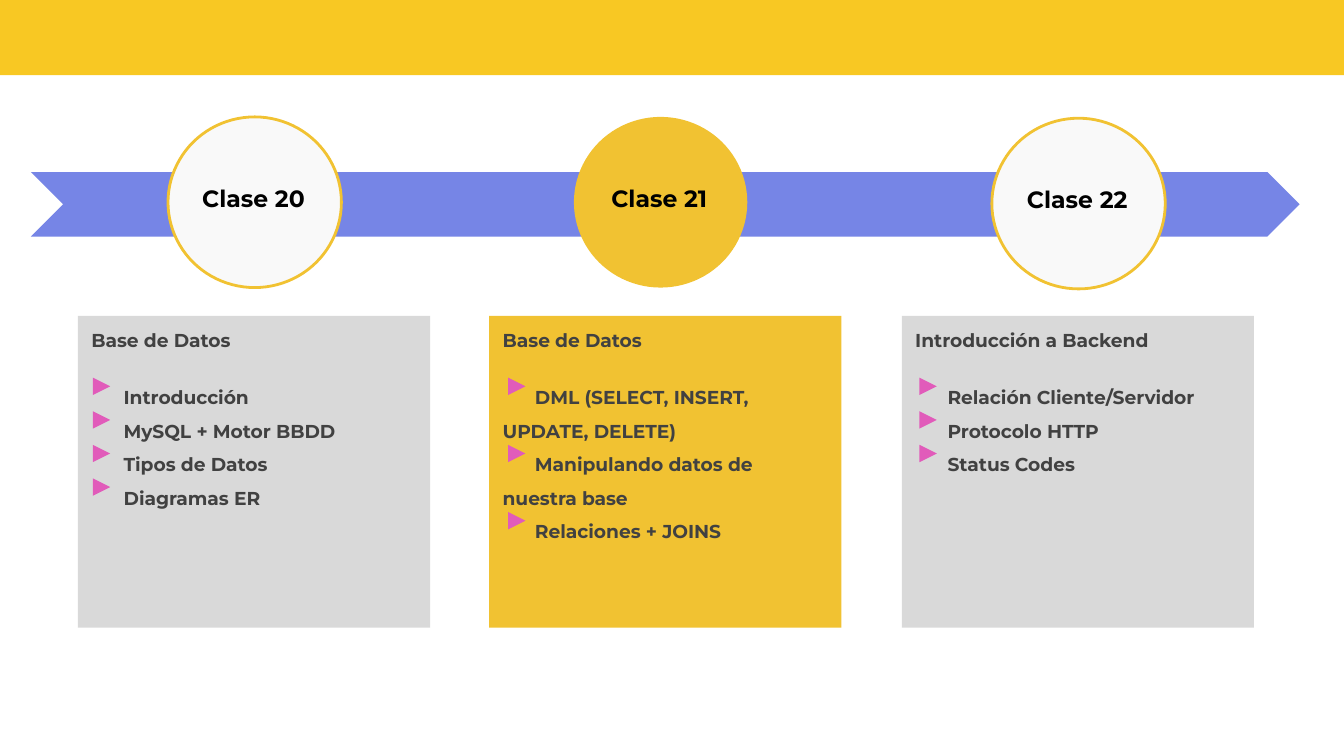
from dataclasses import dataclass

from pptx import Presentation
from pptx.dml.color import RGBColor
from pptx.enum import shapes, text
from pptx.oxml.xmlchemy import OxmlElement
from pptx.util import Inches, Pt


@dataclass(frozen=True)
class Theme:
    font: str = "Montserrat"
    label_size: float = 12.6
    body_size: float = 10
    gap_size: float = 12.2
    ring_width: float = 1.5
    banner: str = "F8C823"
    timeline: str = "7685E6"
    active: str = "F1C232"
    circle: str = "F9F9F9"
    card: str = "D9D9D9"
    marker: str = "E15BBA"
    label: str = "000000"
    body: str = "414141"


THEME = Theme()
SHAPE = shapes.MSO_SHAPE
CARD_TOP, CARD_WIDTH, CARD_HEIGHT = 2.35, 2.62, 2.32
CIRCLE_WIDTH, CIRCLE_HEIGHT = 1.29, 1.27
LINE_STEP = 0.25
MARKER_SIZE = 0.13
ITEM_INDENT = 0.24

CLASSES = [
    dict(label="Clase 20", circle=(1.25, 0.87), card_left=0.58, marker_inset=0.11,
         heading="Base de Datos", line_step=LINE_STEP,
         items=["Introducción", "MySQL + Motor BBDD", "Tipos de Datos", "Diagramas ER"]),
    dict(label="Clase 21", circle=(4.27, 0.87), card_left=3.64, marker_inset=0.14,
         heading="Base de Datos", line_step=2 * LINE_STEP, active=True,
         items=["DML (SELECT, INSERT, UPDATE, DELETE)",
                "Manipulando datos de nuestra base",
                "Relaciones + JOINS"]),
    dict(label="Clase 22", circle=(7.38, 0.88), card_left=6.71, marker_inset=0.13,
         heading="Introducción a Backend", line_step=LINE_STEP,
         items=["Relación Cliente/Servidor", "Protocolo HTTP", "Status Codes"]),
]


def add_block(slide, preset, box, fill, ring=None):
    block = slide.shapes.add_shape(preset, *map(Inches, box))
    block.shadow.inherit = False
    block.fill.solid()
    block.fill.fore_color.rgb = RGBColor.from_string(fill)
    if ring:
        block.line.color.rgb = RGBColor.from_string(ring)
        block.line.width = Pt(THEME.ring_width)
    else:
        block.line.fill.background()
    return block


def place_text(holder, box):
    holder.left, holder.top, holder.width, holder.height = map(Inches, box)
    tree = holder.element.getparent()
    tree.remove(holder.element)
    tree.append(holder.element)
    frame = holder.text_frame
    frame.word_wrap = True
    frame.auto_size = text.MSO_AUTO_SIZE.NONE
    frame.vertical_anchor = text.MSO_ANCHOR.TOP
    frame.margin_left = frame.margin_right = Inches(0.1)
    frame.margin_top = frame.margin_bottom = Inches(0.1)
    return frame


def write_line(paragraph, words, size, color, align, indent=0, spacing=1.0, before=0):
    properties = paragraph._p.get_or_add_pPr()
    properties.set("marL", "0")
    properties.set("indent", str(Inches(indent)))
    properties.append(OxmlElement("a:buNone"))
    paragraph.alignment = align
    paragraph.line_spacing = spacing
    paragraph.space_before = Pt(before)
    paragraph.space_after = Pt(0)
    run = paragraph.add_run()
    run.text = words
    run.font.name = THEME.font
    run.font.size = Pt(size)
    run.font.bold = True
    run.font.color.rgb = RGBColor.from_string(color)


def add_banner(slide, box):
    add_block(slide, SHAPE.RECTANGLE, box, THEME.banner)


def add_timeline(slide, box):
    add_block(slide, SHAPE.CHEVRON, box, THEME.timeline)


def add_milestone(slide, box, label, active, title):
    left, top, width, _ = box
    if active:
        add_block(slide, SHAPE.OVAL, box, THEME.active)
        holder = title
    else:
        add_block(slide, SHAPE.OVAL, box, THEME.circle, THEME.active)
        holder = slide.shapes.add_textbox(0, 0, 0, 0)
    frame = place_text(holder, (left + 0.04, top + 0.4, width - 0.1, 0.33))
    write_line(frame.paragraphs[0], label, THEME.label_size, THEME.label,
               text.PP_ALIGN.CENTER)


def add_card(slide, box, heading, items, active, marker_inset, line_step, body):
    left, top, _, _ = box
    add_block(slide, SHAPE.RECTANGLE, box, THEME.active if active else THEME.card)
    frame = place_text(body, box)
    write_line(frame.paragraphs[0], heading, THEME.body_size, THEME.body,
               text.PP_ALIGN.LEFT)
    for index, item in enumerate(items):
        write_line(frame.add_paragraph(), item, THEME.body_size, THEME.body,
                   text.PP_ALIGN.LEFT, ITEM_INDENT, 1.5,
                   0 if index else THEME.gap_size)
        marker = add_block(slide, SHAPE.ISOSCELES_TRIANGLE,
                           (left + marker_inset, top + 0.46 + index * line_step,
                            MARKER_SIZE, MARKER_SIZE),
                           THEME.marker)
        marker.rotation = 90


def main():
    deck = Presentation()
    deck.slide_width = Inches(10)
    deck.slide_height = deck.slide_width * 9 // 16
    comparison_layout = deck.slide_layouts.get_by_name("Comparison")
    slide = deck.slides.add_slide(comparison_layout)
    title, *bodies = slide.placeholders
    spare = bodies.pop()
    spare.element.getparent().remove(spare.element)

    add_banner(slide, (-0.01, -0.05, 10.03, 0.61))
    add_timeline(slide, (0.23, 1.28, 9.44, 0.48))
    for lesson, body in zip(CLASSES, bodies):
        active = lesson.get("active", False)
        add_milestone(slide, (*lesson["circle"], CIRCLE_WIDTH, CIRCLE_HEIGHT),
                      lesson["label"], active, title)
        add_card(slide, (lesson["card_left"], CARD_TOP, CARD_WIDTH, CARD_HEIGHT),
                 lesson["heading"], lesson["items"], active,
                 lesson["marker_inset"], lesson["line_step"], body)
    deck.save("out.pptx")


if __name__ == "__main__":
    main()
